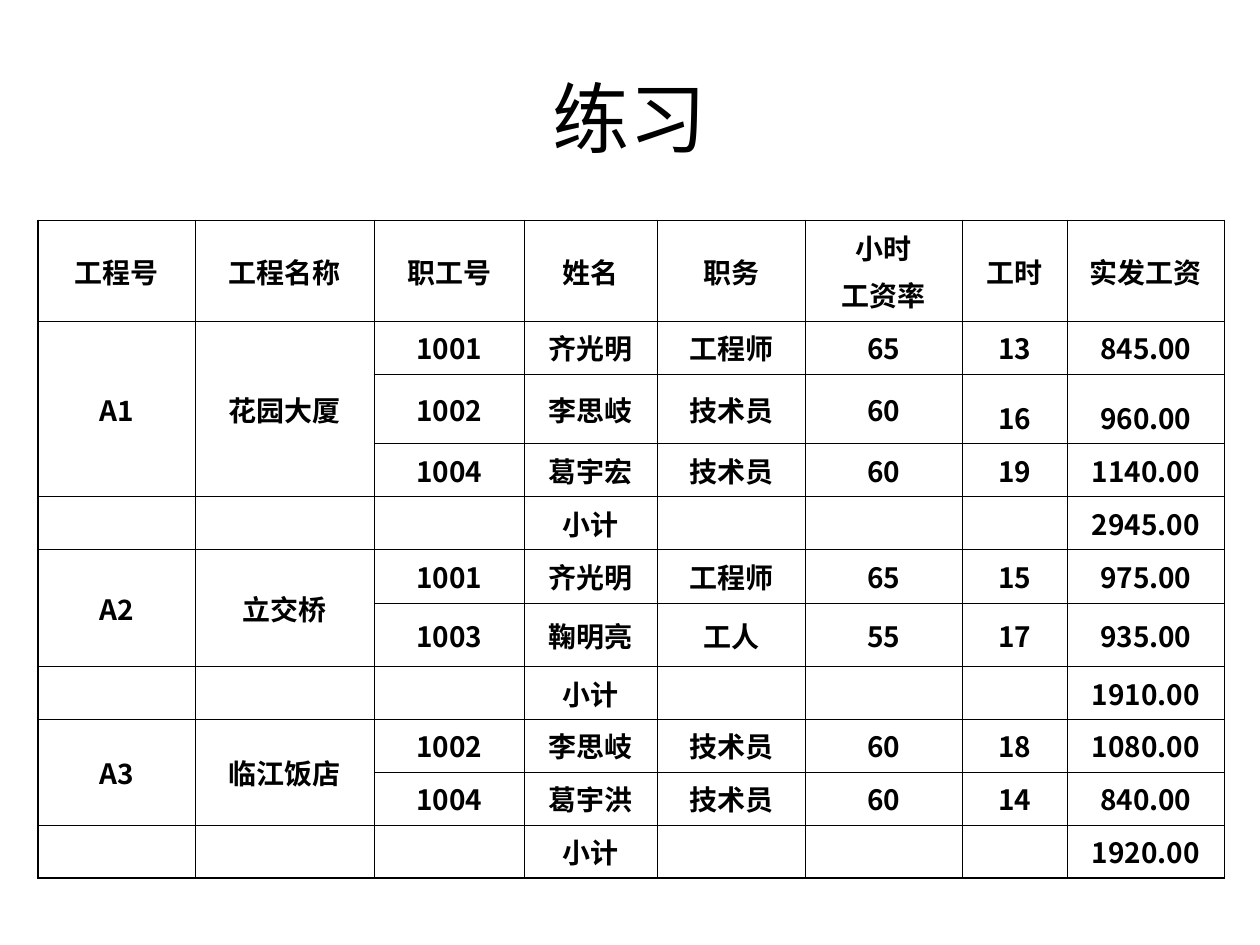
from dataclasses import dataclass

from lxml.etree import SubElement
from pptx import Presentation
from pptx.dml.color import RGBColor
from pptx.enum.text import MSO_ANCHOR, PP_ALIGN
from pptx.oxml.ns import qn
from pptx.util import Inches, Pt


@dataclass(frozen=True)
class Theme:
    ink: str = "000000"
    paper: str = "FFFFFF"
    title_font: str = "Arial"
    table_font: str = "Noto Sans CJK SC"
    title_size: float = 44
    table_size: float = 16
    line_gap: float = 4
    loose_spacing: float = 1.4
    inner_line: float = 0.45
    outer_line: float = 1.08


@dataclass(frozen=True)
class Work:
    worker_id: str
    name: str
    job: str
    rate: str
    hours: str
    pay: str
    loose: bool = False


@dataclass(frozen=True)
class Project:
    code: str
    name: str
    works: tuple[Work, ...]
    subtotal: str


THEME = Theme()
HEADER = ("工程号", "工程名称", "职工号", "姓名", "职务", "小时\n工资率", "工时", "实发工资")
PROJECTS = (
    Project("A1", "花园大厦", (
        Work("1001", "齐光明", "工程师", "65", "13", "845.00"),
        Work("1002", "李思岐", "技术员", "60", "16", "960.00", loose=True),
        Work("1004", "葛宇宏", "技术员", "60", "19", "1140.00"),
    ), "2945.00"),
    Project("A2", "立交桥", (
        Work("1001", "齐光明", "工程师", "65", "15", "975.00"),
        Work("1003", "鞠明亮", "工人", "55", "17", "935.00"),
    ), "1910.00"),
    Project("A3", "临江饭店", (
        Work("1002", "李思岐", "技术员", "60", "18", "1080.00"),
        Work("1004", "葛宇洪", "技术员", "60", "14", "840.00"),
    ), "1920.00"),
)
COLUMNS = (1.25, 1.42, 1.19, 1.06, 1.17, 1.25, 0.83, 1.25)
LINE_ROW = 0.42
ROWS = (0.8, LINE_ROW, 0.55, LINE_ROW, LINE_ROW, 0.43, 0.5) + (LINE_ROW,) * 4
NAME_COL, HOURS_COL, PAY_COL = 3, 6, 7


def add_run(p, text: str, font: str, size: float, bold: bool = False) -> None:
    p.alignment = PP_ALIGN.CENTER
    r = p.add_run()
    r.text = text
    r.font.name, r.font.size, r.font.bold = font, Pt(size), bold
    r.font.color.rgb = RGBColor.from_string(THEME.ink)
    SubElement(r.font._element, qn("a:ea"), typeface=font)


def write(cell, text: str, loose: bool = False) -> None:
    tf = cell.text_frame
    for i, line in enumerate(text.split("\n")):
        p = tf.add_paragraph() if i else tf.paragraphs[0]
        if i:
            p.space_before = Pt(THEME.line_gap)
        if loose:
            p.line_spacing = THEME.loose_spacing
        add_run(p, line, THEME.table_font, THEME.table_size, bold=True)


def set_borders(cell, outer: dict[str, bool]) -> None:
    """Draw the four edges, heavier where the edge is on the table's rim."""
    tc_pr = cell._tc.get_or_add_tcPr()
    for side, on_rim in outer.items():
        width = THEME.outer_line if on_rim else THEME.inner_line
        ln = SubElement(tc_pr, qn(f"a:ln{side}"), w=str(Pt(width)))
        SubElement(SubElement(ln, qn("a:solidFill")), qn("a:srgbClr"), val=THEME.ink)


def style_cells(table) -> None:
    last_row, last_col = len(ROWS) - 1, len(COLUMNS) - 1
    for r in range(len(ROWS)):
        for c in range(len(COLUMNS)):
            cell = table.cell(r, c)
            cell.vertical_anchor = MSO_ANCHOR.MIDDLE
            if not cell.is_spanned:
                bottom = r + (cell.span_height if cell.is_merge_origin else 1) - 1
                set_borders(cell, {"L": c == 0, "R": c == last_col,
                                   "T": r == 0, "B": bottom == last_row})
            if r == 0:
                cell.fill.solid()
                cell.fill.fore_color.rgb = RGBColor.from_string(THEME.paper)
            else:
                cell.fill.background()


def fill_project(table, top: int, project: Project) -> int:
    """Write one project from row top on and return the next free row."""
    end = top + len(project.works)
    for c, text in enumerate((project.code, project.name)):
        table.cell(top, c).merge(table.cell(end - 1, c))
        write(table.cell(top, c), text)
    for r, w in enumerate(project.works, top):
        values = (w.worker_id, w.name, w.job, w.rate, w.hours, w.pay)
        for c, text in enumerate(values, 2):
            write(table.cell(r, c), text, loose=w.loose and c >= HOURS_COL)
    write(table.cell(end, NAME_COL), "小计")
    write(table.cell(end, PAY_COL), project.subtotal)
    return end + 1


def add_title(s, prs, text: str) -> None:
    w, h = prs.slide_width, prs.slide_height
    tf = s.shapes.add_textbox(int(w * 0.05), int(h * 0.04),
                              int(w * 0.9), int(h / 6)).text_frame
    tf.word_wrap = True
    tf.vertical_anchor = MSO_ANCHOR.MIDDLE
    add_run(tf.paragraphs[0], text, THEME.title_font, THEME.title_size)


def add_pay_table(s, prs) -> None:
    table = s.shapes.add_table(
        len(ROWS), len(COLUMNS), int(prs.slide_width * 0.03), Inches(1.75),
        Inches(sum(COLUMNS)), Inches(sum(ROWS))).table
    table.first_row = table.horz_banding = False
    for column, width in zip(table.columns, COLUMNS):
        column.width = Inches(width)
    for row, height in zip(table.rows, ROWS):
        row.height = Inches(height)
    for c, text in enumerate(HEADER):
        write(table.cell(0, c), text)
    top = 1
    for project in PROJECTS:
        top = fill_project(table, top, project)
    style_cells(table)


def main() -> None:
    prs = Presentation()
    prs.slide_width, prs.slide_height = Inches(10), Inches(7.5)
    s = prs.slides.add_slide(prs.slide_layouts[6])
    add_title(s, prs, "练习")
    add_pay_table(s, prs)
    prs.save("out.pptx")


if __name__ == "__main__":
    main()
